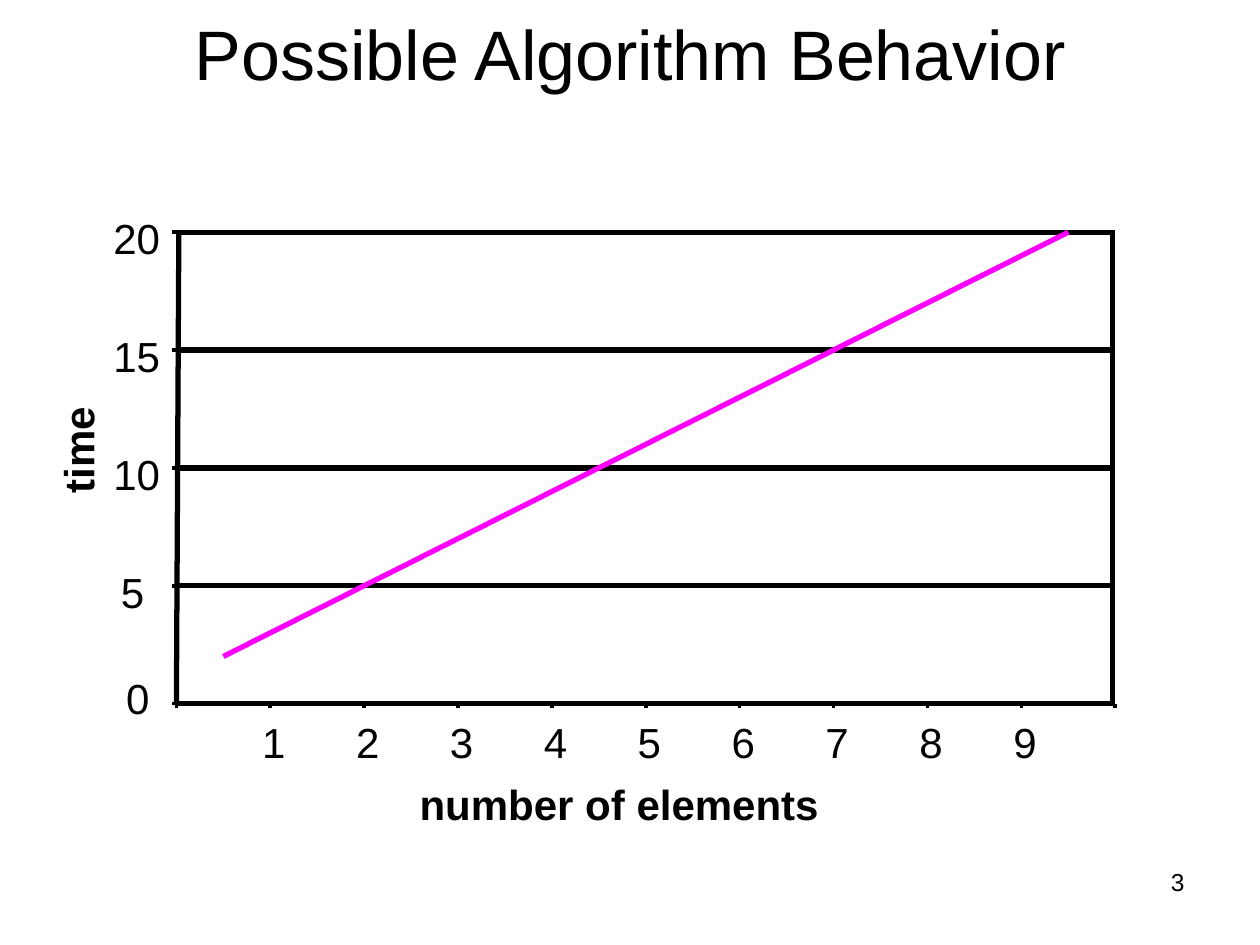
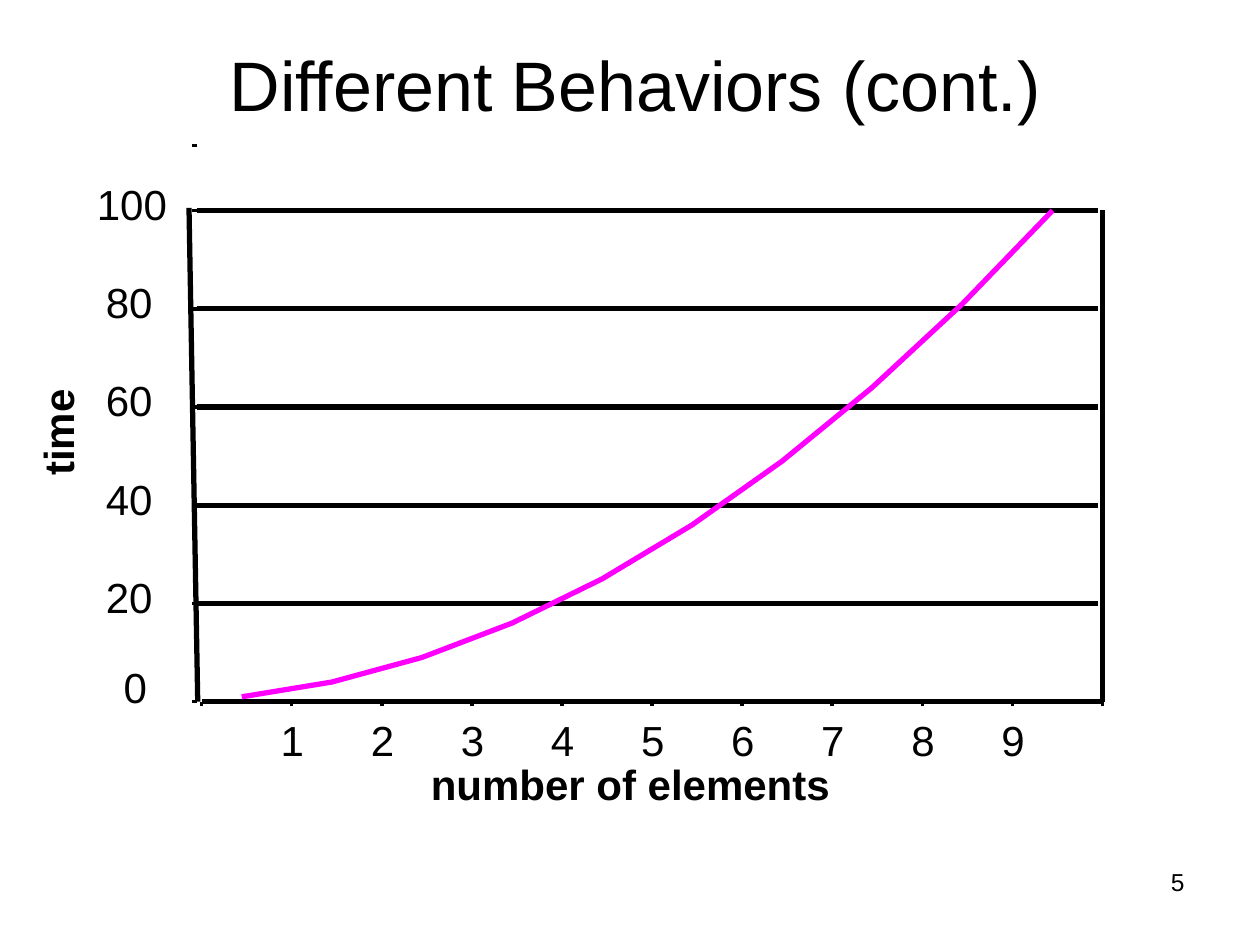
from dataclasses import dataclass

from pptx import Presentation
from pptx.dml.color import RGBColor
from pptx.enum.shapes import MSO_CONNECTOR
from pptx.enum.text import MSO_ANCHOR, MSO_AUTO_SIZE, PP_ALIGN
from pptx.oxml.xmlchemy import OxmlElement
from pptx.util import Pt

STRAIGHT = MSO_CONNECTOR.STRAIGHT
LEFT, CENTER, RIGHT = PP_ALIGN.LEFT, PP_ALIGN.CENTER, PP_ALIGN.RIGHT
TOP, MIDDLE = MSO_ANCHOR.TOP, MSO_ANCHOR.MIDDLE
NO_AUTOSIZE = MSO_AUTO_SIZE.NONE
TITLE_ONLY = 5


@dataclass(frozen=True)
class Theme:
    font: str = "Arial"
    ink: RGBColor = RGBColor(0x00, 0x00, 0x00)
    curve: RGBColor = RGBColor(0xFF, 0x00, 0xFF)
    title: float = 40
    label: float = 24
    number: float = 14
    heavy: float = 3
    hairline: float = 0


THEME = Theme()
SLIDE_SIZE = (720, 540)
NUMBER_BOX = (516, 492, 168, 37.2)
X_LABELS = range(1, 10)
X_STEPS = 10
DIGIT_WIDTH = 13.35
LABEL_HEIGHT = 28.8
TICK = 2.7

# Lengths are points; y_labels pairs each axis value with its label's left edge.
GRAPHS = [
    dict(
        title="Possible Algorithm Behavior", title_box=(36, -12, 648, 84), number="3",
        values=[2 * n for n in range(1, 11)], y_max=20,
        y_labels=[(0, 72), (5, 69.1), (10, 64.8), (15, 64.8), (20, 64.8)],
        extra_tick=None, label_rise=11.1, zero_rise=18,
        grid_left=100.8, base_left=100.8, step=53.65, top=132.7, bottom=402.1,
        y_axis=(102.2, 131.8, 100.8, 401.8), right_edge=635.8,
        first_x_label=(149.8, 409.7),
        x_title=("number of elements", (239.8, 445, 228.2, LABEL_HEIGHT)),
        y_title=("time", (19.4, 242.6, 49.7, LABEL_HEIGHT)),
    ),
    dict(
        title="Different Behaviors (cont.)", title_box=(36, 5.8, 653.8, 84), number="5",
        values=[n * n for n in range(1, 11)], y_max=100,
        y_labels=[(0, 70.6), (20, 60.5), (40, 60.5), (60, 60.5), (80, 60.5), (100, 55.4)],
        extra_tick=83.1, label_rise=18.4, zero_rise=23,
        grid_left=112.4, base_left=115.2, step=51.48, top=120.3, bottom=401,
        y_axis=(108, 118.8, 113, 401), right_edge=630,
        first_x_label=(160.4, 408.2),
        x_title=("number of elements", (246.2, 433.4, 228.2, LABEL_HEIGHT)),
        y_title=("time", (7.9, 232.6, 49.7, LABEL_HEIGHT)),
    ),
]


def place(shape, box):
    shape.left, shape.top, shape.width, shape.height = map(Pt, box)


def write(slide, text, box, shape=None, *, size=THEME.label, bold=False, align=LEFT,
          anchor=TOP, insets=(0, 0), wrap=False, rotation=0):
    """Write one formatted line into the given shape, or into a new text box."""
    shape = shape or slide.shapes.add_textbox(0, 0, 0, 0)
    place(shape, box)
    shape.rotation = rotation
    frame = shape.text_frame
    frame.auto_size, frame.word_wrap = NO_AUTOSIZE, wrap
    frame.vertical_anchor = anchor
    frame.margin_left = frame.margin_right = Pt(insets[0])
    frame.margin_top = frame.margin_bottom = Pt(insets[1])
    frame.text = text
    paragraph = frame.paragraphs[0]
    paragraph.alignment = align
    font = paragraph.runs[0].font
    font.name, font.size, font.bold = THEME.font, Pt(size), bold
    font.color.rgb = THEME.ink


def draw_line(slide, x1, y1, x2, y2, width=THEME.heavy):
    line = slide.shapes.add_connector(STRAIGHT, *map(Pt, (x1, y1, x2, y2)))
    line.line.color.rgb = THEME.ink
    line.line.width = Pt(width)
    line._element.spPr.append(OxmlElement("a:effectLst"))


def draw_curve(slide, points):
    first, *rest = [(Pt(x), Pt(y)) for x, y in points]
    builder = slide.shapes.build_freeform(*first)
    builder.add_line_segments(rest, close=False)
    curve = builder.convert_to_shape()
    curve.shadow.inherit = False
    curve.fill.background()
    curve.line.color.rgb = THEME.curve
    curve.line.width = Pt(THEME.heavy)


def draw_graph(slide, graph):
    left, base, step = graph["grid_left"], graph["base_left"], graph["step"]
    top, bottom = graph["top"], graph["bottom"]
    span = X_STEPS * step

    def y_of(value):
        return bottom - (bottom - top) * value / graph["y_max"]

    tick_heights = [y_of(value) for value, _ in graph["y_labels"]]
    for y in tick_heights[1:]:
        draw_line(slide, left, y, left + span, y)
    if graph["extra_tick"]:
        tick_heights.append(graph["extra_tick"])
    for y in tick_heights:
        draw_line(slide, left - TICK, y, left, y, THEME.hairline)

    draw_line(slide, *graph["y_axis"])
    draw_line(slide, base, bottom, base + span, bottom)
    for i in range(X_STEPS + 1):
        x = base + i * step
        draw_line(slide, x, bottom + TICK, x, bottom, THEME.hairline)

    for value, label_left in graph["y_labels"]:
        rise = graph["label_rise"] if value else graph["zero_rise"]
        text = str(value)
        write(slide, text, (label_left, y_of(value) - rise, DIGIT_WIDTH * len(text), LABEL_HEIGHT))
    label_left, label_top = graph["first_x_label"]
    for i, value in enumerate(X_LABELS):
        write(slide, str(value), (label_left + i * step, label_top, DIGIT_WIDTH, LABEL_HEIGHT))
    write(slide, *graph["x_title"], bold=True)
    write(slide, *graph["y_title"], bold=True, rotation=270)

    draw_curve(slide, [(left + (i + 0.5) * step, y_of(value))
                       for i, value in enumerate(graph["values"])])
    draw_line(slide, graph["right_edge"], top, graph["right_edge"], bottom)


def main():
    deck = Presentation()
    deck.slide_width, deck.slide_height = map(Pt, SLIDE_SIZE)
    for graph in GRAPHS:
        slide = deck.slides.add_slide(deck.slide_layouts[TITLE_ONLY])
        write(slide, graph["title"], graph["title_box"], slide.shapes.title,
              size=THEME.title, align=CENTER, anchor=MIDDLE, insets=(7.2, 3.6), wrap=True)
        write(slide, graph["number"], NUMBER_BOX, size=THEME.number, align=RIGHT,
              insets=(7.2, 3.6), wrap=True)
        draw_graph(slide, graph)
    deck.save("out.pptx")


if __name__ == "__main__":
    main()
